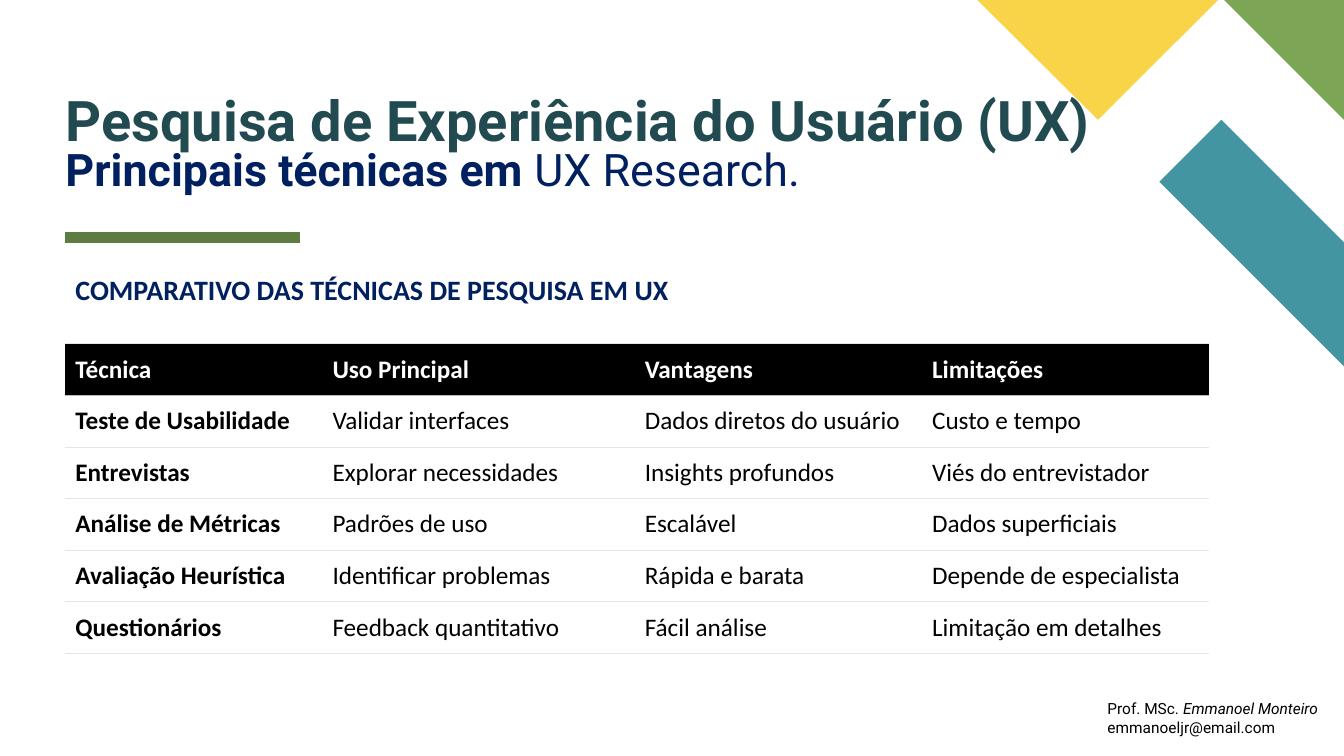
from dataclasses import dataclass

from lxml.etree import SubElement
from pptx import Presentation
from pptx.dml.color import RGBColor
from pptx.enum.shapes import MSO_CONNECTOR as Connector
from pptx.enum.text import MSO_ANCHOR as Anchor, MSO_AUTO_SIZE as AutoSize, PP_ALIGN as Align
from pptx.oxml import parse_xml
from pptx.oxml.ns import nsdecls, qn
from pptx.util import Cm, Pt


@dataclass(frozen=True)
class Theme:
    heading_font: str = "Roboto"
    table_font: str = "Calibri"
    title_size: float = 40
    subtitle_size: float = 32
    section_size: float = 20
    table_size: float = 18
    credit_size: float = 11
    title: str = "214A51"
    navy: str = "002060"
    black: str = "000000"
    white: str = "FFFFFF"
    teal: str = "4495A2"
    green: str = "7CA655"
    yellow: str = "F9D448"
    rule: str = "5D7C3F"
    header_edge: str = "BBBBBB"
    row_edge: str = "E5E5E5"


def set_font(font, name, size, color, bold=None):
    font.name, font.size, font.bold = name, Pt(size), bold
    font.color.rgb = RGBColor.from_string(color)


def set_borders(cell, top, bottom):
    """Draw the horizontal edges of a cell and hide the vertical ones."""
    properties = cell._tc.get_or_add_tcPr()
    for index, (side, color) in enumerate(zip("LRTB", (None, None, top, bottom))):
        fill = f'<a:solidFill><a:srgbClr val="{color}"/></a:solidFill>' if color else "<a:noFill/>"
        properties.insert(index, parse_xml(
            f'<a:ln{side} {nsdecls("a")} w="7620">{fill}</a:ln{side}>'))


class SlideBuilder:
    def __init__(self, presentation, theme):
        self.theme = theme
        self.slide = presentation.slides.add_slide(presentation.slide_layouts[5])

    def polygon(self, points, color):
        corners = [(Cm(x), Cm(y)) for x, y in points]
        builder = self.slide.shapes.build_freeform(*corners[0])
        builder.add_line_segments(corners[1:], close=True)
        shape = builder.convert_to_shape()
        shape.shadow.inherit = False
        shape.fill.solid()
        shape.fill.fore_color.rgb = RGBColor.from_string(color)
        shape.line.fill.background()

    def rule(self, left, right, y):
        line = self.slide.shapes.add_connector(
            Connector.STRAIGHT, Cm(left), Cm(y), Cm(right), Cm(y))
        line.line.color.rgb = RGBColor.from_string(self.theme.rule)
        line.line.width = Pt(8)
        SubElement(line._element.spPr, qn("a:effectLst"))

    def title(self, heading, subtitle_bold, subtitle_plain, left, top, width, height):
        theme = self.theme
        shape = self.slide.shapes.title
        shape.left, shape.top, shape.width, shape.height = map(Cm, (left, top, width, height))
        frame = shape.text_frame
        frame.margin_left = frame.margin_right = frame.margin_top = frame.margin_bottom = 0
        frame.vertical_anchor = Anchor.BOTTOM
        frame.auto_size = AutoSize.NONE
        frame.word_wrap = True
        paragraph = frame.paragraphs[0]
        paragraph.alignment = Align.LEFT
        paragraph.line_spacing = 0.8
        set_font(paragraph.font, theme.heading_font, theme.title_size, theme.title)
        for text, size, color, bold in (
            (heading, theme.title_size, theme.title, True),
            (subtitle_bold, theme.subtitle_size, theme.navy, True),
            (subtitle_plain, theme.subtitle_size, theme.navy, False),
        ):
            run = paragraph.add_run()
            run.text = text
            set_font(run.font, theme.heading_font, size, color, bold)
            if text == heading:
                paragraph.add_line_break()

    def text_box(self, left, top, width, height):
        """Add a wrapping text box and return its first paragraph."""
        frame = self.slide.shapes.add_textbox(*map(Cm, (left, top, width, height))).text_frame
        frame.word_wrap = True
        return frame.paragraphs[0]

    def section(self, text, *box):
        paragraph = self.text_box(*box)
        paragraph.text = text
        paragraph.alignment = Align.JUSTIFY
        set_font(paragraph.font, self.theme.table_font, self.theme.section_size,
                 self.theme.navy, True)

    def credit(self, role, name, email, *box):
        paragraph = self.text_box(*box)
        set_font(paragraph.font, self.theme.heading_font, self.theme.credit_size,
                 self.theme.black)
        paragraph.add_run().text = role
        name_run = paragraph.add_run()
        name_run.text = name
        name_run.font.italic = True
        paragraph.add_line_break()
        paragraph.add_run().text = email

    def table(self, rows, column_widths, left, top, row_height):
        theme = self.theme
        table = self.slide.shapes.add_table(
            len(rows), len(column_widths), Cm(left), Cm(top),
            Cm(sum(column_widths)), Cm(row_height * len(rows))).table
        table.horz_banding = False
        for column, width in zip(table.columns, column_widths):
            column.width = Cm(width)
        edges = [theme.row_edge, theme.header_edge] + [theme.row_edge] * (len(rows) - 1)
        for row_index, texts in enumerate(rows):
            table.rows[row_index].height = Cm(row_height)
            is_header = row_index == 0
            for column_index, text in enumerate(texts):
                cell = table.cell(row_index, column_index)
                cell.text = text
                cell.vertical_anchor = Anchor.MIDDLE
                cell.margin_left = cell.margin_right = Cm(0.25)
                cell.margin_top = cell.margin_bottom = Cm(0.25)
                cell.fill.solid()
                cell.fill.fore_color.rgb = RGBColor.from_string(
                    theme.black if is_header else theme.white)
                set_font(cell.text_frame.paragraphs[0].font, theme.table_font, theme.table_size,
                         theme.white if is_header else theme.black,
                         is_header or column_index == 0)
                set_borders(cell, edges[row_index], edges[row_index + 1])


TECHNIQUES = [
    ("Técnica", "Uso Principal", "Vantagens", "Limitações"),
    ("Teste de Usabilidade", "Validar interfaces", "Dados diretos do usuário", "Custo e tempo"),
    ("Entrevistas", "Explorar necessidades", "Insights profundos", "Viés do entrevistador"),
    ("Análise de Métricas", "Padrões de uso", "Escalável", "Dados superficiais"),
    ("Avaliação Heurística", "Identificar problemas", "Rápida e barata",
     "Depende de especialista"),
    ("Questionários", "Feedback quantitativo", "Fácil análise", "Limitação em detalhes"),
]


def main():
    presentation = Presentation()
    presentation.slide_width, presentation.slide_height = Cm(33.87), Cm(19.05)
    theme = Theme()
    builder = SlideBuilder(presentation, theme)
    builder.polygon([(33.87, 9.23), (33.87, 6.11), (30.78, 3.02), (29.22, 4.58)], theme.teal)
    builder.polygon([(33.87, 3.02), (33.87, 0), (30.85, 0)], theme.green)
    builder.polygon([(24.63, 0), (27.67, 3.02), (30.7, 0)], theme.yellow)
    builder.rule(1.65, 7.57, 5.98)
    builder.credit("Prof. MSc. ", "Emmanoel Monteiro", "emmanoeljr@email.com",
                   27.66, 17.5, 6.2, 1.19)
    builder.title("Pesquisa de Experiência do Usuário (UX)", "Principais técnicas em ",
                  "UX Research.", 1.65, 0.56, 30.48, 4.37)
    builder.table(TECHNIQUES, (6.48, 7.87, 7.24, 7.24), 1.65, 8.66, 1.3)
    builder.section("COMPARATIVO DAS TÉCNICAS DE PESQUISA EM UX", 1.65, 6.73, 18.62, 1.12)
    presentation.save("out.pptx")


if __name__ == "__main__":
    main()
